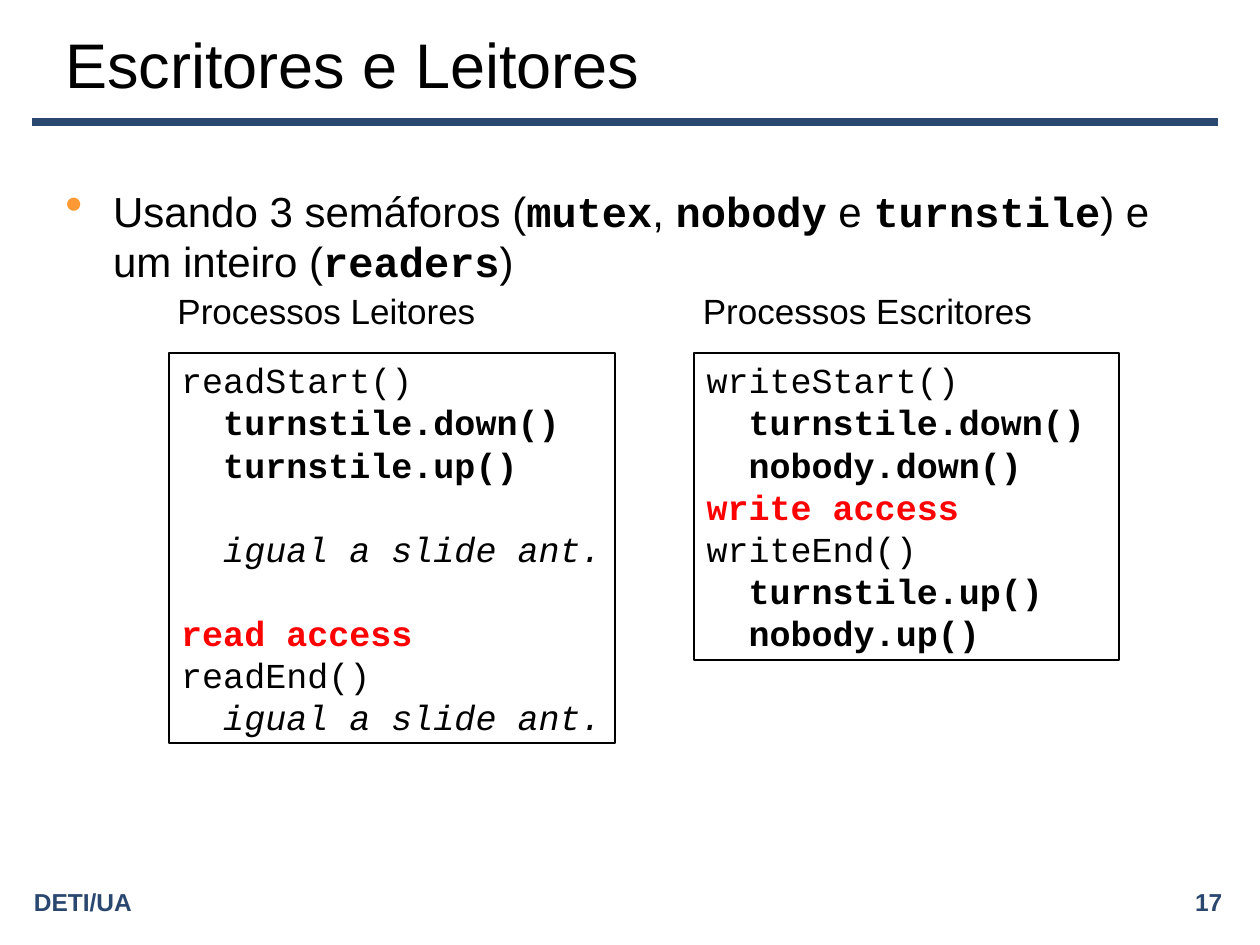
"""Build the readers and writers slide with its two semaphore listings."""
from lxml import etree
from pptx import Presentation
from pptx.dml.color import RGBColor
from pptx.enum.shapes import MSO_CONNECTOR, MSO_SHAPE
from pptx.enum.text import MSO_ANCHOR, PP_ALIGN
from pptx.oxml.ns import qn
from pptx.util import Inches, Pt

BLACK = RGBColor(0x00, 0x00, 0x00)
RED = RGBColor(0xFF, 0x00, 0x00)
NAVY = RGBColor(0x2A, 0x47, 0x6F)
LEFT, RIGHT = PP_ALIGN.LEFT, PP_ALIGN.RIGHT
TOP, MIDDLE = MSO_ANCHOR.TOP, MSO_ANCHOR.MIDDLE
STRAIGHT = MSO_CONNECTOR.STRAIGHT
RECTANGLE = MSO_SHAPE.RECTANGLE
SANS, MONO = "Arial", "Courier New"


def style_font(font, size, name=SANS, color=BLACK, bold=False):
    font.size = Pt(size)
    font.name = name
    font.color.rgb = color
    font.bold = bold


def add_text(left, top, width, height, text, size, color=BLACK, bold=False, align=LEFT, anchor=TOP):
    shape = slide.shapes.add_textbox(Inches(left), Inches(top), Inches(width), Inches(height))
    frame = shape.text_frame
    frame.word_wrap = True
    frame.vertical_anchor = anchor
    paragraph = frame.paragraphs[0]
    paragraph.text = text
    paragraph.alignment = align
    style_font(paragraph.font, size, color=color, bold=bold)
    return paragraph


presentation = Presentation()
presentation.slide_width = Inches(10)
presentation.slide_height = Inches(7.5)
slide = presentation.slides.add_slide(presentation.slide_layouts[6])

rule = slide.shapes.add_connector(STRAIGHT, Inches(0.25), Inches(0.97), Inches(9.67), Inches(0.97))
rule.line.color.rgb = NAVY
rule.line.width = Pt(4.5)
etree.SubElement(rule._element.spPr, qn("a:effectLst"))

add_text(5.92, 7, 3.88, 0.31, "17", 14, NAVY, True, RIGHT, MIDDLE)
add_text(0.17, 7, 3.88, 0.31, "DETI/UA", 14, NAVY, True, anchor=MIDDLE)
add_text(0.42, 0.17, 8.75, 0.67, "Escritores e Leitores", 36, anchor=MIDDLE)

bullet = add_text(0.42, 1.42, 9, 4.95, "", 24)
properties = bullet._p.get_or_add_pPr()
properties.set("marL", str(Inches(0.38)))
properties.set("indent", str(-Inches(0.38)))
bullet_color = etree.Element(qn("a:buClr"))
etree.SubElement(bullet_color, qn("a:srgbClr"), val="FF9933")
bullet_size = etree.Element(qn("a:buSzPct"), val="120000")
bullet_character = etree.Element(qn("a:buChar"), char="•")
for position, element in enumerate((bullet_color, bullet_size, bullet_character)):
    properties.insert(position, element)

sentence = ["Usando 3 semáforos (", "mutex", ", ", "nobody", " e ", "turnstile",
            ") e um inteiro (", "readers", ")"]
for index, text in enumerate(sentence):
    run = bullet.add_run()
    run.text = text
    is_code = index % 2 == 1
    style_font(run.font, 24, MONO if is_code else SANS, bold=is_code)

reader_lines = ["readStart()", "  turnstile.down()", "  turnstile.up()", "",
                "  igual a slide ant.", "", "read access", "readEnd()",
                "  igual a slide ant."]
writer_lines = ["writeStart()", "  turnstile.down()", "  nobody.down()",
                "write access", "writeEnd()", "  turnstile.up()", "  nobody.up()"]
listings = [
    (1.34, 3.54, 3.1, "Processos Leitores", 2.6, reader_lines),
    (5.51, 3.37, 2.44, "Processos Escritores", 2.85, writer_lines),
]
for left, width, height, label, label_width, lines in listings:
    add_text(left - 0.03, 2.25, label_width, 0.44, label, 20)
    box = slide.shapes.add_shape(RECTANGLE, Inches(left), Inches(2.8), Inches(width), Inches(height))
    box.shadow.inherit = False
    box.fill.background()
    box.line.color.rgb = BLACK
    box.line.width = Pt(1.25)
    frame = box.text_frame
    frame.word_wrap = True
    frame.vertical_anchor = TOP
    for index, line in enumerate(lines):
        paragraph = frame.add_paragraph() if index else frame.paragraphs[0]
        paragraph.text = line
        paragraph.alignment = LEFT
        is_access = line.endswith("access")
        is_call = line.startswith("  ") and line.endswith("()")
        style_font(paragraph.font, 20, MONO, RED if is_access else BLACK, is_access or is_call)
        paragraph.font.italic = "igual" in line

presentation.save("out.pptx")
